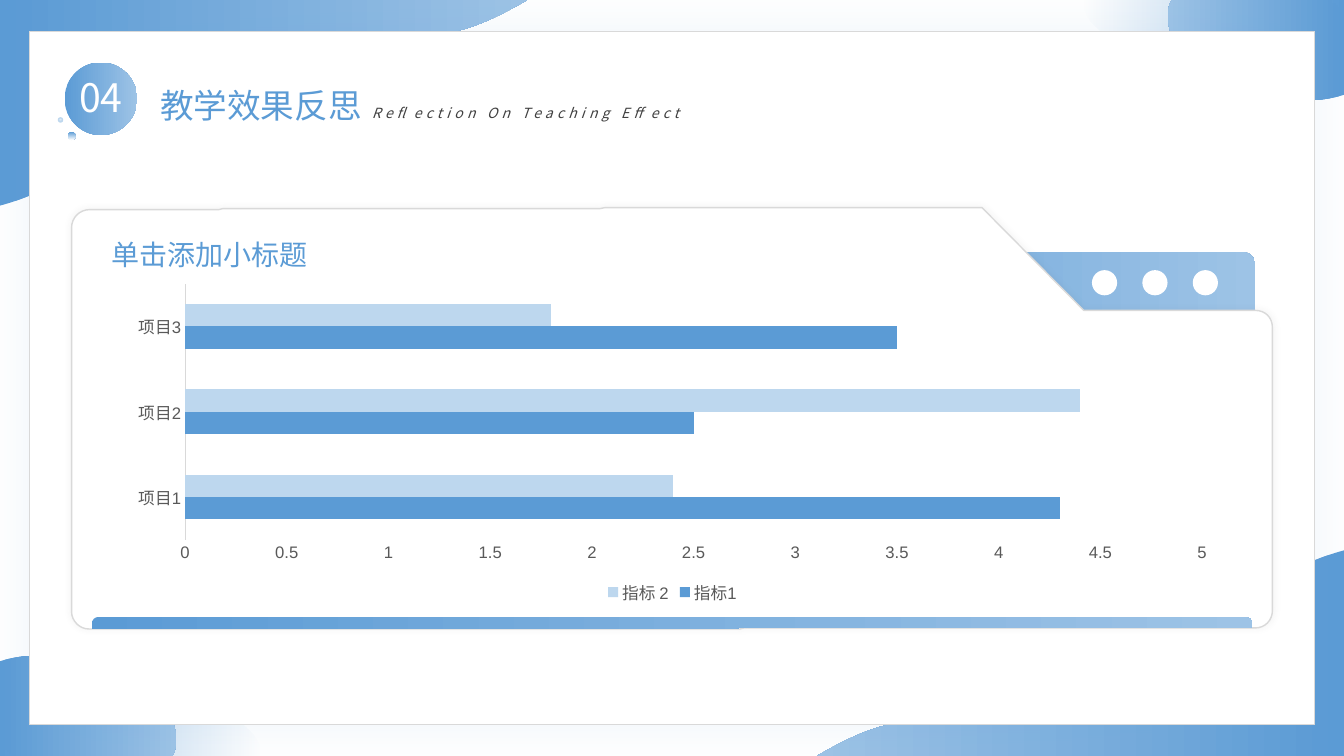
from dataclasses import dataclass
from typing import Any, NamedTuple, Optional

import lxml.etree
import pptx
import pptx.chart.data
import pptx.dml.color
import pptx.enum.chart
import pptx.enum.shapes
import pptx.enum.text
import pptx.oxml.ns
import pptx.util

Inches = pptx.util.Inches
Pt = pptx.util.Pt
Kind = pptx.enum.shapes.MSO_SHAPE
Align = pptx.enum.text.PP_ALIGN
qn = pptx.oxml.ns.qn


@dataclass(frozen=True)
class Theme:
    blue: str = "5B9BD5"
    sky: str = "9DC3E6"
    pale: str = "BDD7EE"
    white: str = "FFFFFF"
    rule: str = "D9D9D9"
    dark: str = "404040"
    label: str = "595959"
    face: str = "Noto Sans CJK SC"
    plain: str = "Arial"
    badge: float = 28
    title: float = 24
    head: float = 20
    note: float = 10
    axis: float = 11.9


class Stop(NamedTuple):
    color: str
    alpha: int = 100


class Fade(NamedTuple):
    start: Stop
    end: Stop
    angle: float = 0


class Shade(NamedTuple):
    color: str
    alpha: int
    blur: float


class Form(NamedTuple):
    box: tuple
    steps: list
    fill: Any


class Label(NamedTuple):
    text: str
    box: tuple
    size: float
    color: str
    align: Any = Align.LEFT
    slant: bool = False
    space: float = 0


class Oval(NamedTuple):
    box: tuple
    fill: Any
    line: str = ""


THEME = Theme()
WIDTH, HEIGHT = 13.33, 7.5
BLEND = Fade(Stop(THEME.blue), Stop(THEME.sky))
MIST = Fade(Stop(THEME.blue, 50), Stop(THEME.blue, 0))

# Outlines: pairs are line ends, sixes are cubic curves
WAVES = [
    Form((0, 0, 4.68, 2),
         [(0, 0), (0, 2), (0.15, 1.96, 0.3, 1.89, 0.44, 1.75),
          (1.04, 1.17, 1.67, 1.05, 2.63, 1.04), (3.1, 1.03, 3.75, 0.98, 4.12, 0.73),
          (4.4, 0.55, 4.59, 0.27, 4.68, 0)], MIST),
    Form((0, 0, 5.23, 2.04),
         [(0, 0), (0, 2.04), (0.26, 1.97, 0.5, 1.86, 0.7, 1.72),
          (1.16, 1.4, 1.29, 1.03, 1.72, 0.71), (2.29, 0.3, 2.82, 0.27, 3.58, 0.34),
          (3.78, 0.35, 4.02, 0.37, 4.25, 0.35), (4.63, 0.33, 4.93, 0.17, 5.23, 0)], BLEND),
    Form((0.52, 7.01, 2.07, 0.49),
         [(2.59, 7.46), (2.53, 7.12, 1.99, 6.93, 1.39, 7.04),
          (1, 7.11, 0.68, 7.29, 0.52, 7.5), (2.59, 7.5),
          (2.59, 7.49, 2.59, 7.47, 2.59, 7.46)], MIST),
    Form((0, 6.51, 1.75, 0.99),
         [(0.82, 6.56), (0.51, 6.48, 0.22, 6.49, 0, 6.56), (0, 7.5), (1.71, 7.5),
          (1.73, 7.48, 1.73, 7.45, 1.74, 7.42), (1.82, 7.09, 1.41, 6.7, 0.82, 6.56)], BLEND),
]
FOLDER = Form(
    (0.71, 2.06, 11.91, 4.18),
    [(6, 2.06), (9.74, 2.06), (10.75, 3.08), (12.45, 3.08),
     (12.55, 3.08, 12.62, 3.15, 12.62, 3.25), (12.62, 6.06),
     (12.62, 6.15, 12.55, 6.23, 12.45, 6.23), (8.7, 6.23), (8.66, 6.23), (7.38, 6.23),
     (7.34, 6.24), (0.88, 6.24), (0.79, 6.24, 0.71, 6.16, 0.71, 6.07), (0.71, 4.51),
     (0.71, 2.26), (0.71, 2.16, 0.79, 2.08, 0.89, 2.08), (2.17, 2.08), (2.21, 2.07),
     (5.95, 2.07)], THEME.white)
STRIP = Form(
    (0.91, 6.12, 11.51, 0.12),
    [(0.98, 6.12), (12.35, 6.12), (12.39, 6.12, 12.42, 6.15, 12.42, 6.19),
     (12.42, 6.22), (12.4, 6.23), (8.65, 6.23), (8.61, 6.23), (7.33, 6.23), (7.29, 6.24),
     (0.91, 6.24), (0.91, 6.19), (0.91, 6.15, 0.94, 6.12, 0.98, 6.12)], BLEND)

BADGE = [
    Oval((0.64, 0.62, 0.72, 0.72), BLEND),
    Oval((0.67, 1.31, 0.08, 0.08), Fade(Stop(THEME.blue), Stop(THEME.white), 270)),
    Oval((0.58, 1.17, 0.04, 0.04), Fade(Stop(THEME.blue, 0), Stop(THEME.blue, 50), 270),
         THEME.pale),
]
HOLES = [Oval((10.83 + 0.5 * n, 2.68, 0.25, 0.25), THEME.white) for n in range(3)]
TITLES = [
    Label("04", (0.54, 0.68, 0.92, 0.57), THEME.badge, THEME.white, Align.CENTER),
    Label("教学效果反思", (1.49, 0.79, 2.4, 0.5), THEME.title, THEME.blue),
    Label("Reflection On Teaching Effect", (3.59, 0.99, 4.22, 0.27), THEME.note,
          THEME.dark, slant=True, space=3),
]
HEADING = Label("单击添加小标题", (1.01, 2.31, 2.77, 0.44), THEME.head, THEME.blue)


def tint(code: str) -> pptx.dml.color.RGBColor:
    return pptx.dml.color.RGBColor.from_string(code)


def place(box: tuple) -> list:
    return [Inches(side) for side in box]


def paint(shape: Any, fill: Any, line: str = "", width: float = 1,
          shade: Optional[Shade] = None) -> None:
    """Set fill, outline and shadow."""
    shape.shadow.inherit = False
    if isinstance(fill, Fade):
        shape.fill.gradient()
        shape.fill.gradient_angle = fill.angle
        for mark, stop in zip(shape.fill.gradient_stops, fill[:2]):
            mark.color.rgb = tint(stop.color)
        for node, stop in zip(shape.fill._xPr.iter(qn("a:srgbClr")), fill[:2]):
            if stop.alpha < 100:
                lxml.etree.SubElement(node, qn("a:alpha"), val=str(stop.alpha * 1000))
    else:
        shape.fill.solid()
        shape.fill.fore_color.rgb = tint(fill)
    if line:
        shape.line.color.rgb = tint(line)
        shape.line.width = Pt(width)
    else:
        shape.line.fill.background()
    if shade:
        effects = shape._element.spPr.find(qn("a:effectLst"))
        outer = lxml.etree.SubElement(effects, qn("a:outerShdw"), blurRad=str(Pt(shade.blur)),
                                      dist="0", dir="0", algn="ctr", rotWithShape="0")
        color = lxml.etree.SubElement(outer, qn("a:srgbClr"), val=shade.color)
        lxml.etree.SubElement(color, qn("a:alpha"), val=str(shade.alpha * 1000))


def draw_form(shapes: Any, form: Form) -> Any:
    """Build the outline, then give its segments true curves."""
    ends = [place(step[-2:]) for step in form.steps]
    maker = shapes.build_freeform(*ends[0], scale=1.0)
    maker.add_line_segments(ends[1:], close=True)
    shape = maker.convert_to_shape()
    left, top, wide, high = place(form.box)
    shape.left, shape.top, shape.width, shape.height = left, top, wide, high
    trail = next(shape._element.iter(qn("a:path")))
    trail.set("w", str(wide))
    trail.set("h", str(high))
    for node, step in zip(list(trail), form.steps):
        node.clear()
        if len(step) == 6:
            curve = lxml.etree.SubElement(trail, qn("a:cubicBezTo"))
            trail.replace(node, curve)
            node = curve
        for x, y in zip(step[::2], step[1::2]):
            lxml.etree.SubElement(node, qn("a:pt"), x=str(Inches(x) - left),
                                  y=str(Inches(y) - top))
    return shape


def draw_wave(shapes: Any, wave: Form, turned: bool) -> None:
    shape = draw_form(shapes, wave)
    paint(shape, wave.fill)
    if turned:
        shape.left = Inches(WIDTH) - shape.left - shape.width
        shape.top = Inches(HEIGHT) - shape.top - shape.height
        shape.rotation = 180


def draw_oval(shapes: Any, oval: Oval) -> None:
    paint(shapes.add_shape(Kind.OVAL, *place(oval.box)), oval.fill, oval.line)


def draw_label(shapes: Any, label: Label) -> None:
    frame = shapes.add_textbox(*place(label.box)).text_frame
    frame.word_wrap = True
    para = frame.paragraphs[0]
    para.text, para.alignment = label.text, label.align
    font = para.font
    font.size, font.name, font.italic = Pt(label.size), THEME.face, label.slant
    font.color.rgb = tint(label.color)
    lxml.etree.SubElement(font._element, qn("a:ea"), typeface=THEME.face)
    if label.space:
        font._element.set("spc", str(int(label.space * 100)))


def draw_chart(shapes: Any) -> None:
    data = pptx.chart.data.CategoryChartData()
    data.categories = ["项目1", "项目2", "项目3"]
    data.add_series("指标1", (4.3, 2.5, 3.5))
    data.add_series("指标 2", (2.4, 4.4, 1.8))
    enums = pptx.enum.chart
    chart = shapes.add_chart(enums.XL_CHART_TYPE.BAR_CLUSTERED,
                             *place((1.15, 2.75, 11.04, 3.29)), data).chart
    chart.has_title, chart.has_legend = False, True
    chart.legend.position = enums.XL_LEGEND_POSITION.BOTTOM
    chart.legend.include_in_layout = False
    plot = chart.plots[0]
    plot.gap_width, plot.overlap, plot.vary_by_categories = 182, 0, False
    for series, color in zip(plot.series, (THEME.blue, THEME.pale)):
        series.format.fill.solid()
        series.format.fill.fore_color.rgb = tint(color)
    cats, vals = chart.category_axis, chart.value_axis
    for axis in (cats, vals):
        axis.major_tick_mark = axis.minor_tick_mark = enums.XL_TICK_MARK.NONE
        axis.has_major_gridlines = False
    cats.format.line.color.rgb = tint(THEME.rule)
    cats.format.line.width = Pt(0.75)
    vals.format.line.fill.background()
    for font in (chart.font, chart.legend.font, cats.tick_labels.font, vals.tick_labels.font):
        font.size, font.name = Pt(THEME.axis), THEME.plain
        font.color.rgb = tint(THEME.label)


def main() -> None:
    deck = pptx.Presentation()
    deck.slide_width, deck.slide_height = Inches(WIDTH), Inches(HEIGHT)
    shapes = deck.slides.add_slide(deck.slide_layouts[6]).shapes
    # Corner waves and page
    for turned in (False, True):
        for pair in (WAVES[:2], WAVES[2:]):
            for wave in pair:
                draw_wave(shapes, wave, turned)
    page = shapes.add_shape(Kind.RECTANGLE, *place((0.29, 0.31, 12.75, 6.88)))
    paint(page, THEME.white, THEME.rule, 0.5, Shade(THEME.blue, 10, 35))
    # Badge and titles
    for oval in BADGE:
        draw_oval(shapes, oval)
    for label in TITLES:
        draw_label(shapes, label)
    # Folder with its tab
    tab = shapes.add_shape(Kind.ROUNDED_RECTANGLE, *place((6.16, 2.5, 6.29, 3.62)))
    tab.adjustments[0] = 0.035
    paint(tab, BLEND)
    paint(draw_form(shapes, FOLDER), FOLDER.fill, THEME.rule, 1, Shade(THEME.dark, 6, 5))
    paint(draw_form(shapes, STRIP), STRIP.fill)
    # Chart, heading and holes
    draw_chart(shapes)
    draw_label(shapes, HEADING)
    for oval in HOLES:
        draw_oval(shapes, oval)
    deck.save("out.pptx")


if __name__ == "__main__":
    main()
